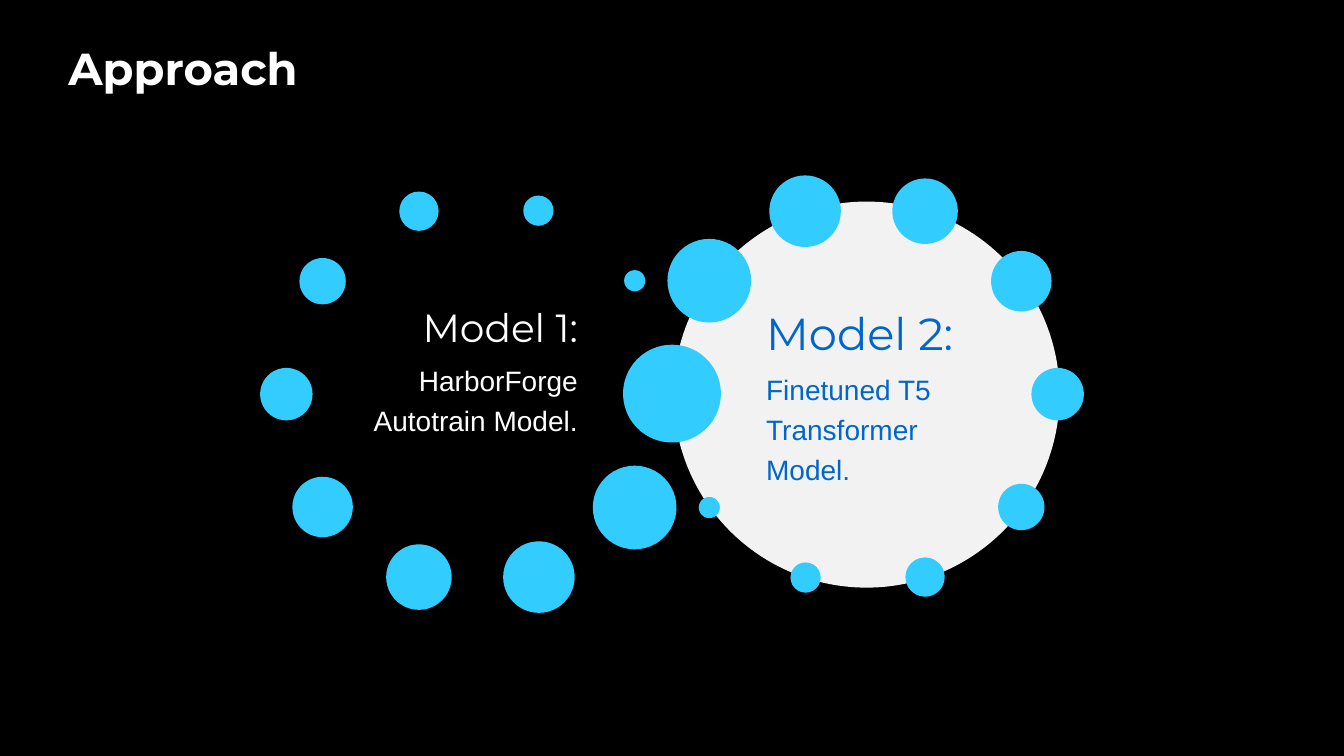
import math
import pptx
import pptx.util
import pptx.dml.color
import pptx.enum.shapes
import pptx.enum.text

PX = 9144
WHITE, BLUE, SKY, PALE = "FFFFFF", "0066CC", "33CCFF", "F2F2F2"
SIZES = [52, 46, 39, 30, 21, 97, 83, 71, 65, 60]
ALIGN = pptx.enum.text.PP_ALIGN


def px(count):
    return pptx.util.Emu(round(count) * PX)


def paint(color, code):
    color.rgb = pptx.dml.color.RGBColor.from_string(code)


def add_disc(slide, x, y, size, code):
    kind = pptx.enum.shapes.MSO_SHAPE.OVAL
    disc = slide.shapes.add_shape(
        kind, px(x - size / 2), px(y - size / 2), px(size), px(size))
    disc.shadow.inherit = False
    disc.fill.solid()
    paint(disc.fill.fore_color, code)
    disc.line.fill.background()


def add_ring(slide, x, y, reach, start, sizes):
    step = 360 / len(sizes)
    for index, size in enumerate(sizes):
        angle = math.radians(start + index * step)
        if size:
            add_disc(slide, x + reach * math.cos(angle),
                     y + reach * math.sin(angle), size, SKY)


def add_box(slide, left, top, width, height):
    frame = slide.shapes.add_textbox(
        px(left), px(top), px(width), px(height)).text_frame
    frame.word_wrap = True
    return frame


def set_text(para, text, font, size, code, bold=False):
    para.text = text
    for run in para.runs:
        run.font.name = font
        run.font.size = pptx.util.Pt(size)
        run.font.bold = bold
        paint(run.font.color, code)


def add_title(slide, text):
    frame = add_box(slide, 58, 28, 1218, 79)
    frame.vertical_anchor = pptx.enum.text.MSO_ANCHOR.MIDDLE
    set_text(frame.paragraphs[0], text, "Montserrat", 32, WHITE, True)


def add_model(slide, left, top, head, size, body, code, align):
    frame = add_box(slide, left, top, 249, 210)
    first, second = frame.paragraphs[0], frame.add_paragraph()
    set_text(first, head, "Montserrat", size, code)
    set_text(second, body, "Arial", 20, code)
    for para in (first, second):
        para.alignment = align
        para.line_spacing = 1.2
    second.space_before = pptx.util.Pt(4)


def main():
    deck = pptx.Presentation()
    deck.slide_width, deck.slide_height = px(1333), px(750)
    slide = deck.slides.add_slide(deck.slide_layouts[6])
    slide.background.fill.solid()
    paint(slide.background.fill.fore_color, "000000")
    add_disc(slide, 860, 392, 383, PALE)
    add_title(slide, "Approach")
    add_ring(slide, 475, 391, 191, 180, SIZES)
    rest = [0 if size == max(SIZES) else size for size in SIZES]
    add_ring(slide, 858, 391, 191, 0, rest)
    add_model(slide, 334, 287, "Model 1:", 28,
              "HarborForge Autotrain Model.", WHITE, ALIGN.RIGHT)
    add_model(slide, 750, 288, "Model 2:", 32,
              "Finetuned T5 Transformer Model.", BLUE, ALIGN.LEFT)
    deck.save("out.pptx")


if __name__ == "__main__":
    main()
